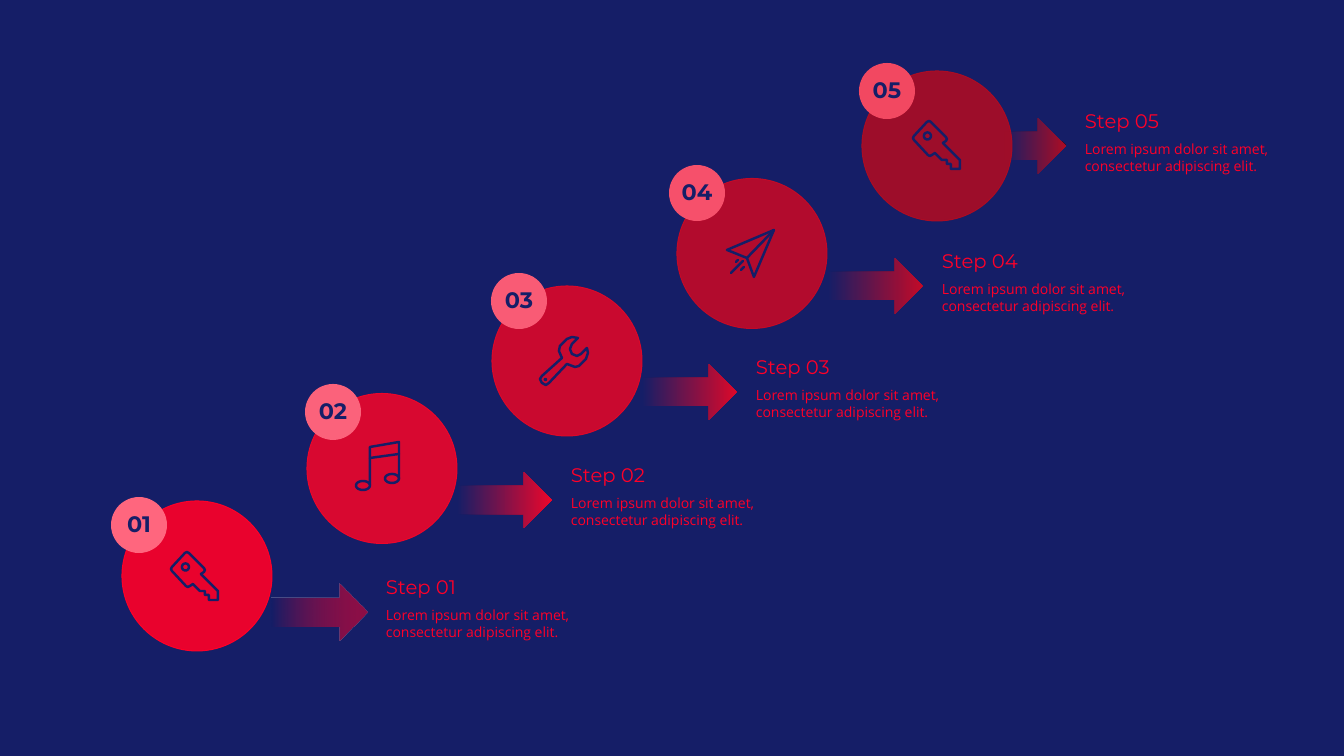
from math import cos, pi, sin

from lxml import etree
from pptx import Presentation
from pptx.dml.color import RGBColor
from pptx.enum.shapes import MSO_SHAPE
from pptx.enum.text import MSO_ANCHOR, MSO_AUTO_SIZE, PP_ALIGN
from pptx.oxml.ns import qn
from pptx.util import Pt

OVAL, ARROW = MSO_SHAPE.OVAL, MSO_SHAPE.RIGHT_ARROW
MIDDLE, CENTER = MSO_ANCHOR.MIDDLE, PP_ALIGN.CENTER
GROW = MSO_AUTO_SIZE.SHAPE_TO_FIT_TEXT

PX = 914400 / 100.8
WIDTH, HEIGHT = 1344, 756
CIRCLE, BADGE, ARROW_H, ICON_LINE = 150, 56, 56, 1.75
COLORS = {"navy": "151E67", "red": "FF0028"}
BODY = "Lorem ipsum dolor sit amet, consectetur adipiscing elit."

STEPS = [
    dict(no="01", color="FF0028", alpha=51, tint="FF667E", badge=(111, 497),
         arrow=(272, 584, 95), text_w=256, icon="key", icon_at=(170, 551)),
    dict(no="02", color="EC062B", alpha=100, tint="FB627B", badge=(305, 384),
         arrow=(457, 472, 95), text_w=256, icon="music", icon_at=(355, 441)),
    dict(no="03", color="DB082A", alpha=100, tint="F95B75", badge=(491, 273),
         arrow=(642, 364, 95), text_w=256, icon="wrench", icon_at=(539, 336)),
    dict(no="04", color="C20A28", alpha=100, tint="F6506B", badge=(669, 165),
         arrow=(828, 258, 95), text_w=256, icon="plane", icon_at=(726, 229)),
    dict(no="05", color="AB0C24", alpha=100, tint="F24861", badge=(859, 63),
         arrow=(1003, 118, 63), text_w=239, icon="key", icon_at=(912, 120)),
]


def ring(cx, cy, rx, ry):
    n = 24
    pts = [(cx + rx * cos(2 * pi * k / n), cy + ry * sin(2 * pi * k / n))
           for k in range(n)]
    return pts, True


ICONS = {
    "key": [
        ([(48, 49), (39, 49), (39, 44), (35, 44), (35, 40), (30, 40), (23, 33),
          (20, 35), (18, 36), (16, 35), (2, 20), (1, 18), (2, 16), (15, 2),
          (17, 1), (19, 2), (34, 17), (35, 19), (34, 21), (31, 23), (48, 40)], True),
        ring(15.5, 16, 3.5, 3.5),
    ],
    "music": [
        ([(15, 44), (15, 6), (44, 1), (44, 38)], False),
        ([(15, 17), (44, 13)], False),
        ring(8, 44.5, 7, 4.5),
        ring(37, 37.5, 7, 4.5),
    ],
    "wrench": [
        ([(48, 12), (42, 18), (38, 20), (33, 18), (31, 13), (33, 8), (39, 2),
          (33, 1), (28, 3), (21, 10), (20, 15), (23, 22), (3, 40), (1, 43),
          (3, 47), (7, 49), (10, 47), (28, 28), (36, 31), (40, 30), (47, 23),
          (49, 17)], True),
        ring(6.5, 43.5, 0.5, 0.5),
    ],
    "plane": [
        ([(1, 21), (48, 1), (28, 48), (21, 29)], True),
        ([(21, 29), (48, 1)], False),
        ([(17, 32), (5, 44)], False),
        ([(18, 38), (15, 41)], False),
        ([(12, 31), (10, 33)], False),
    ],
}


def px(v):
    return round(v * PX)


def rgb(color):
    return RGBColor.from_string(color)


def set_alpha(clr, percent):
    etree.SubElement(clr, qn("a:alpha")).set("val", str(percent * 1000))


def add_preset(s, kind, x, y, w, h):
    sp = s.shapes.add_shape(kind, px(x), px(y), px(w), px(h))
    sp.shadow.inherit = False
    sp.line.fill.background()
    return sp


def add_run(p, text, font, size, color, bold=False):
    r = p.add_run()
    r.text = text
    r.font.name, r.font.size, r.font.bold = font, Pt(size), bold
    r.font.color.rgb = rgb(color)


def add_arrow(s, step):
    x, y, w = step["arrow"]
    sp = add_preset(s, ARROW, x, y, w, ARROW_H)
    sp.fill.gradient()
    sp.fill.gradient_angle = 0
    for stop, color in zip(sp.fill.gradient_stops, (COLORS["navy"], step["color"])):
        stop.color.rgb = rgb(color)
    if step["alpha"] < 100:
        set_alpha(list(sp._element.spPr.iter(qn("a:srgbClr")))[-1], step["alpha"])


def add_circle(s, i, step):
    sp = add_preset(s, OVAL, 122 + 185 * i, 501 - 107.5 * i, CIRCLE, CIRCLE)
    sp.fill.solid()
    sp.fill.fore_color.rgb = rgb(step["color"])
    set_alpha(sp._element.spPr.find(qn("a:solidFill"))[0], 91)
    sp.line.color.rgb = rgb(step["color"])
    sp.line.width = Pt(0.75)


def add_badge(s, step):
    sp = add_preset(s, OVAL, *step["badge"], BADGE, BADGE)
    sp.fill.solid()
    sp.fill.fore_color.rgb = rgb(step["tint"])
    tf = sp.text_frame
    tf.margin_left = tf.margin_right = tf.margin_top = tf.margin_bottom = 0
    tf.word_wrap = False
    tf.vertical_anchor = MIDDLE
    p = tf.paragraphs[0]
    p.alignment, p.line_spacing = CENTER, 0.89
    add_run(p, step["no"], "Montserrat", 16, COLORS["navy"], True)


def add_label(s, step):
    x, y, w = step["arrow"]
    tb = s.shapes.add_textbox(px(x + w + 9), px(y - 14), px(step["text_w"]), px(77))
    tf = tb.text_frame
    tf.word_wrap = True
    tf.auto_size = GROW
    for p, text, font, size in (
        (tf.paragraphs[0], "Step " + step["no"], "Montserrat", 14),
        (tf.add_paragraph(), BODY, "Open Sans", 10),
    ):
        p.space_before = Pt(6)
        add_run(p, text, font, size, COLORS["red"])


def add_icon(s, step):
    x0, y0 = step["icon_at"]
    fb = None
    for pts, closed in ICONS[step["icon"]]:
        pts = [(px(x0 + x), px(y0 + y)) for x, y in pts]
        if fb is None:
            fb = s.shapes.build_freeform(*pts[0])
        else:
            fb.move_to(*pts[0])
        fb.add_line_segments(pts[1:], close=closed)
    sp = fb.convert_to_shape()
    sp.shadow.inherit = False
    sp.fill.background()
    sp.line.color.rgb = rgb(COLORS["navy"])
    sp.line.width = Pt(ICON_LINE)
    ln = sp._element.spPr.find(qn("a:ln"))
    ln.set("cap", "rnd")
    etree.SubElement(ln, qn("a:round"))


def main():
    prs = Presentation()
    prs.slide_width, prs.slide_height = px(WIDTH), px(HEIGHT)
    s = prs.slides.add_slide(prs.slide_layouts[6])
    s.background.fill.solid()
    s.background.fill.fore_color.rgb = rgb(COLORS["navy"])
    for step in STEPS:
        add_arrow(s, step)
    for i, step in enumerate(STEPS):
        add_circle(s, i, step)
        add_badge(s, step)
        add_label(s, step)
        add_icon(s, step)
    prs.save("out.pptx")


if __name__ == "__main__":
    main()
